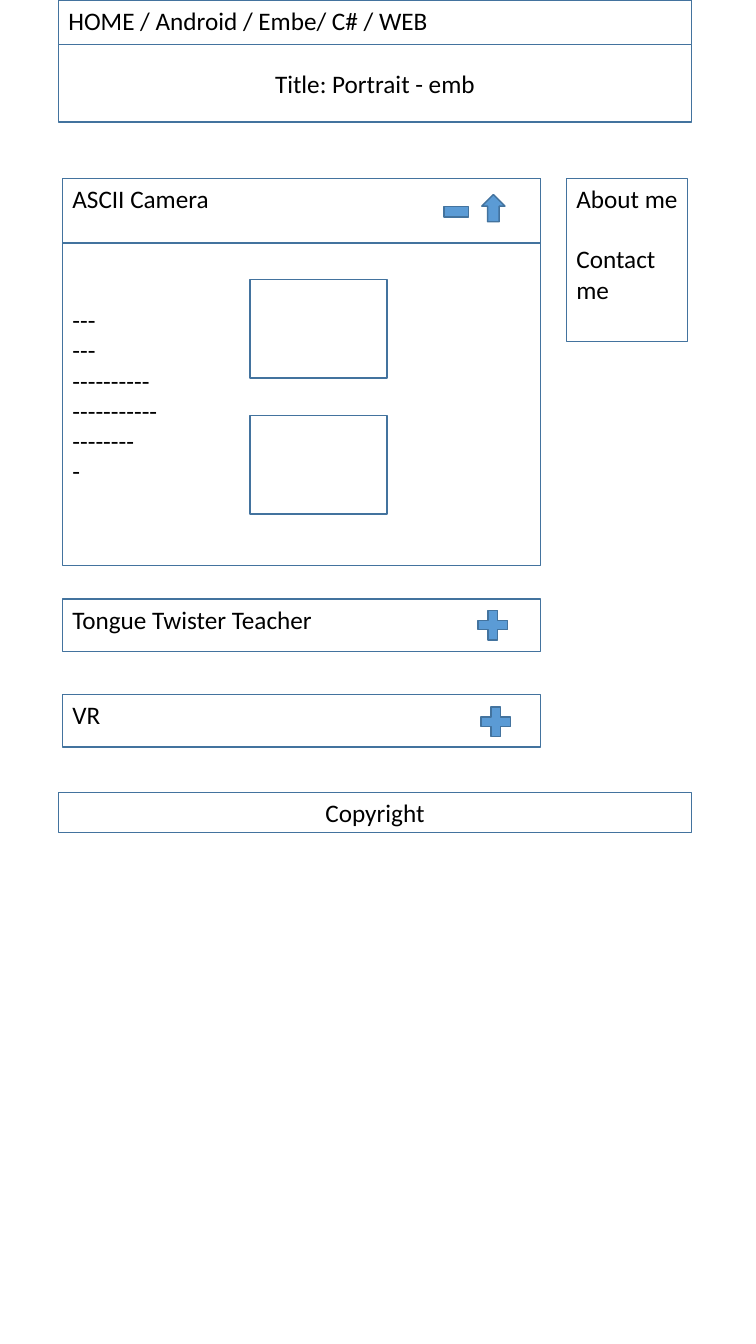
from dataclasses import dataclass

from pptx import Presentation
from pptx.dml.color import RGBColor
from pptx.enum.shapes import MSO_SHAPE
from pptx.enum.text import MSO_ANCHOR, MSO_AUTO_SIZE, PP_ALIGN
from pptx.util import Inches, Pt


@dataclass(frozen=True)
class Theme:
    """Colours, font and sizes of the wireframe."""
    paper: RGBColor = RGBColor(0xFF, 0xFF, 0xFF)
    ink: RGBColor = RGBColor(0, 0, 0)
    accent: RGBColor = RGBColor(0x5B, 0x9B, 0xD5)
    outline: RGBColor = RGBColor(0x43, 0x73, 0x9E)
    font: str = "Calibri"
    size: float = 18
    line_width: float = 1


class Wireframe:
    """Draws page parts on one slide in one style."""

    def __init__(self, slide, theme):
        """Keep the slide and its theme."""
        self.slide = slide
        self.theme = theme

    def paint(self, sp, fill):
        """Fill and outline a shape."""
        sp.fill.solid()
        sp.fill.fore_color.rgb = fill
        sp.line.color.rgb = self.theme.outline
        sp.line.width = Pt(self.theme.line_width)

    def set_text(self, sp, lines, centred=False, top=0.05, gap=0):
        """Set paragraphs, centred or from the top left."""
        tf = sp.text_frame
        tf.word_wrap = True
        tf.auto_size = MSO_AUTO_SIZE.NONE
        tf.margin_top = Inches(top)
        tf.vertical_anchor = MSO_ANCHOR.MIDDLE if centred else MSO_ANCHOR.TOP
        tf.text = "\n".join(lines)
        for i, p in enumerate(tf.paragraphs):
            p.alignment = PP_ALIGN.CENTER if centred else PP_ALIGN.LEFT
            p.space_before = Pt(gap if i else 0)
            p.font.name = self.theme.font
            p.font.size = Pt(self.theme.size)
            p.font.color.rgb = self.theme.ink

    def title(self, text, x, y, w, h):
        """Place and format the title placeholder."""
        sp = self.slide.shapes.title
        sp.left, sp.top, sp.width, sp.height = map(Inches, (x, y, w, h))
        self.paint(sp, self.theme.paper)
        self.set_text(sp, [text], centred=True)

    def shape(self, kind, fill, x, y, w, h):
        """Add a preset shape without a shadow."""
        sp = self.slide.shapes.add_shape(kind, *map(Inches, (x, y, w, h)))
        sp.shadow.inherit = False
        self.paint(sp, fill)
        return sp

    def box(self, x, y, w, h, *lines, **layout):
        """Add an outlined box, with text if given."""
        sp = self.shape(MSO_SHAPE.RECTANGLE, self.theme.paper, x, y, w, h)
        if lines:
            self.set_text(sp, lines, **layout)

    def icon(self, kind, x, y, w, h):
        """Add a filled control icon."""
        self.shape(kind, self.theme.accent, x, y, w, h)


def main():
    """Build the portfolio page wireframe."""
    prs = Presentation()
    prs.slide_width, prs.slide_height = Inches(7.5), Inches(13.33)
    page = Wireframe(prs.slides.add_slide(prs.slide_layouts[5]), Theme())

    page_x, page_w, nav_h = 0.58, 6.28, 0.44
    page.title("Title: Portrait - emb", page_x, nav_h, page_w, 0.77)
    page.box(page_x, 0, page_w, nav_h, "HOME / Android / Embe/ C# / WEB")
    page.box(page_x, 7.86, page_w, 0.4, "Copyright", centred=True)

    card_x, card_w, content_y = 0.62, 4.74, 1.77
    page.box(card_x, content_y, card_w, 3.84,
             *("-" * n for n in (3, 3, 10, 11, 8, 1)), top=1.25)
    page.box(card_x, content_y, card_w, 0.64, "ASCII Camera")
    for y in (2.77, 4.12):
        page.box(2.48, y, 1.36, 0.98)
    page.icon(MSO_SHAPE.UP_ARROW, 4.78, 1.93, 0.23, 0.27)
    page.icon(MSO_SHAPE.MATH_MINUS, 4.36, 1.88, 0.33, 0.44)

    collapsed = (("Tongue Twister Teacher", 5.94, 4.69, 6),
                 ("VR", 6.89, 4.72, 6.96))
    for name, y, plus_x, plus_y in collapsed:
        page.box(card_x, y, card_w, 0.52, name)
        page.icon(MSO_SHAPE.MATH_PLUS, plus_x, plus_y, 0.4, 0.4)

    page.box(5.62, content_y, 1.2, 1.62, "About me", "Contact me", gap=21.5)
    prs.save("out.pptx")


main()
